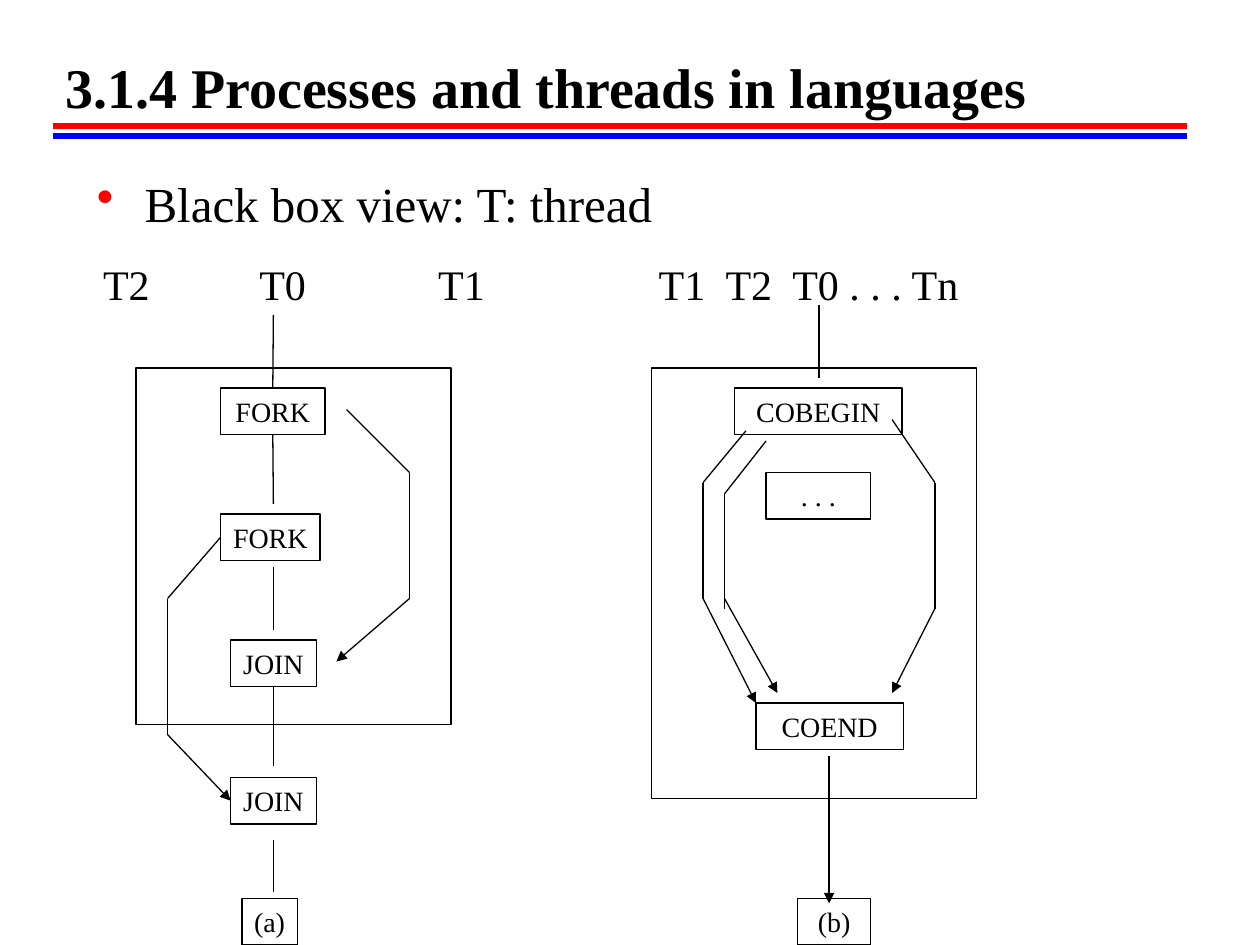
import pptx
import pptx.util
import pptx.dml.color
import pptx.enum.shapes
import pptx.enum.text
import pptx.oxml
import pptx.oxml.ns
from lxml import etree

Inches, Pt = pptx.util.Inches, pptx.util.Pt
Color = pptx.dml.color.RGBColor.from_string
Align = pptx.enum.text.PP_ALIGN
Anchor = pptx.enum.text.MSO_ANCHOR
qn = pptx.oxml.ns.qn

THEME = {
    "font": "Times New Roman", "ink": "000000", "red": "FF0000", "blue": "0000FF",
    "title": 32, "body": 28, "row": 24, "label": 16, "thin": 0.75, "thick": 3,
}

# Content
TITLE = "3.1.4 Processes and threads in languages"
BULLET = "Black box view: T: thread"
THREADS = ["T2", "T0", "T1", "T1", "T2", "T0 . . . Tn"]
STOPS = [1.24, 2.66, 4.41, 4.94, 5.47]

BOX_H = 0.37
# name: (text, left, top, width)
BOXES = {
    "fork1": ("FORK", 1.75, 3.08, 0.83),
    "fork2": ("FORK", 1.75, 4.08, 0.79),
    "join1": ("JOIN", 1.83, 5.08, 0.68),
    "join2": ("JOIN", 1.83, 6.17, 0.68),
    "a": ("(a)", 1.92, 7.13, 0.44),
    "begin": ("COBEGIN", 5.83, 3.08, 1.33),
    "more": (". . .", 6.08, 3.75, 0.83),
    "end": ("COEND", 6, 5.58, 1.17),
    "b": ("(b)", 6.33, 7.13, 0.58),
}
FRAMES = [(1.08, 2.92, 2.5, 2.83), (5.17, 2.92, 2.58, 3.42)]

TOP, LEFT, BOTTOM = 0, 1, 2
# points, arrow at the end, joined box at the start, joined box at the end
PATHS = [
    # (a) main thread
    ([(2.17, 2.5), (2.17, 3.08)], False, None, ("fork1", TOP)),
    ([(2.17, 3.42), (2.17, 4)], False, ("fork1", BOTTOM), None),
    ([(2.17, 4.5), (2.17, 5)], False, None, None),
    ([(2.17, 5.42), (2.17, 6.08)], False, ("join1", BOTTOM), None),
    ([(2.17, 6.67), (2.17, 7.08)], False, None, None),
    # (a) forked threads
    ([(2.75, 3.25), (3.25, 3.75), (3.25, 4.75), (2.67, 5.25)], True, None, None),
    ([(1.75, 4.25), (1.33, 4.75), (1.33, 5.83), (1.83, 6.33)], True,
     ("fork2", LEFT), ("join2", LEFT)),
    # (b) main thread
    ([(6.5, 2.42), (6.5, 3)], False, None, None),
    ([(6.58, 6), (6.58, 7.17)], True, None, None),
    # (b) parallel threads
    ([(7.08, 3.33), (7.42, 3.83), (7.42, 4.83), (7.08, 5.5)], True, None, None),
    ([(5.92, 3.42), (5.58, 3.83), (5.58, 4.75), (6, 5.58)], True, None, None),
    ([(6.08, 3.5), (5.75, 3.92), (5.75, 4.83)], False, None, None),
    ([(5.75, 4.75), (6.17, 5.5)], True, None, None),
]


def write(shape, text, size, bold=False, align=Align.LEFT, anchor=Anchor.TOP,
          wrap=True, bullet=None, stops=()):
    frame = shape.text_frame
    frame.word_wrap = wrap
    frame.vertical_anchor = anchor
    para = frame.paragraphs[0]
    para.alignment = align
    props = para._p.get_or_add_pPr()
    if bullet:
        props.set("marL", str(Inches(0.38)))
        props.set("indent", str(-Inches(0.38)))
        tint = etree.SubElement(props, qn("a:buClr"))
        etree.SubElement(tint, qn("a:srgbClr"), val=THEME["red"])
        etree.SubElement(props, qn("a:buChar"), char=bullet)
    if stops:
        tabs = etree.SubElement(props, qn("a:tabLst"))
        for stop in stops:
            etree.SubElement(tabs, qn("a:tab"), pos=str(Inches(stop)), algn="l")
    run = para.add_run()
    run.text = text
    run.font.name = THEME["font"]
    run.font.size = Pt(THEME[size])
    run.font.bold = bold
    run.font.color.rgb = Color(THEME["ink"])


def area(slide, *place):
    return slide.shapes.add_textbox(*map(Inches, place))


def rect(slide, *place):
    kind = pptx.enum.shapes.MSO_SHAPE.RECTANGLE
    shape = slide.shapes.add_shape(kind, *map(Inches, place))
    shape.shadow.inherit = False
    shape.fill.background()
    shape.line.color.rgb = Color(THEME["ink"])
    shape.line.width = Pt(THEME["thin"])
    return shape


def link(slide, start, stop, color="ink", width="thin", arrow=False):
    kind = pptx.enum.shapes.MSO_CONNECTOR.STRAIGHT
    line = slide.shapes.add_connector(kind, *map(Inches, start + stop))
    line.line.color.rgb = Color(THEME[color])
    line.line.width = Pt(THEME[width])
    props = line._element.spPr
    if arrow:
        etree.SubElement(props.find(qn("a:ln")), qn("a:tailEnd"), type="triangle")
    etree.SubElement(props, qn("a:effectLst"))
    return line


def main():
    deck = pptx.Presentation()
    deck.slide_width, deck.slide_height = Inches(10), Inches(7.5)
    slide = deck.slides.add_slide(deck.slide_layouts[6])

    # Title and its two rules
    for y, color in ((1.08, "blue"), (1, "red")):
        link(slide, (0.42, y), (9.42, y), color=color, width="thick")
    write(area(slide, 0.42, 0.25, 9, 0.75), TITLE, "title", bold=True,
          anchor=Anchor.BOTTOM)

    # Bullet and thread names
    write(area(slide, 0.67, 1.33, 8.67, 6.17), BULLET, "body", bullet="•")
    write(area(slide, 0.72, 2, 8.53, 0.5), "\t".join(THREADS), "row",
          anchor=Anchor.MIDDLE, stops=STOPS)

    # Frames and boxes
    for frame in FRAMES:
        rect(slide, *frame)
    boxes = {}
    for name, (text, x, y, width) in BOXES.items():
        boxes[name] = rect(slide, x, y, width, BOX_H)
        write(boxes[name], text, "label", align=Align.CENTER,
              anchor=Anchor.MIDDLE, wrap=False)

    # Thread paths
    for points, arrow, head, tail in PATHS:
        last = len(points) - 2
        lines = [link(slide, *pair, arrow=arrow and i == last)
                 for i, pair in enumerate(zip(points, points[1:]))]
        if head:
            lines[0].begin_connect(boxes[head[0]], head[1])
        if tail:
            lines[-1].end_connect(boxes[tail[0]], tail[1])

    deck.save("out.pptx")


if __name__ == "__main__":
    main()
